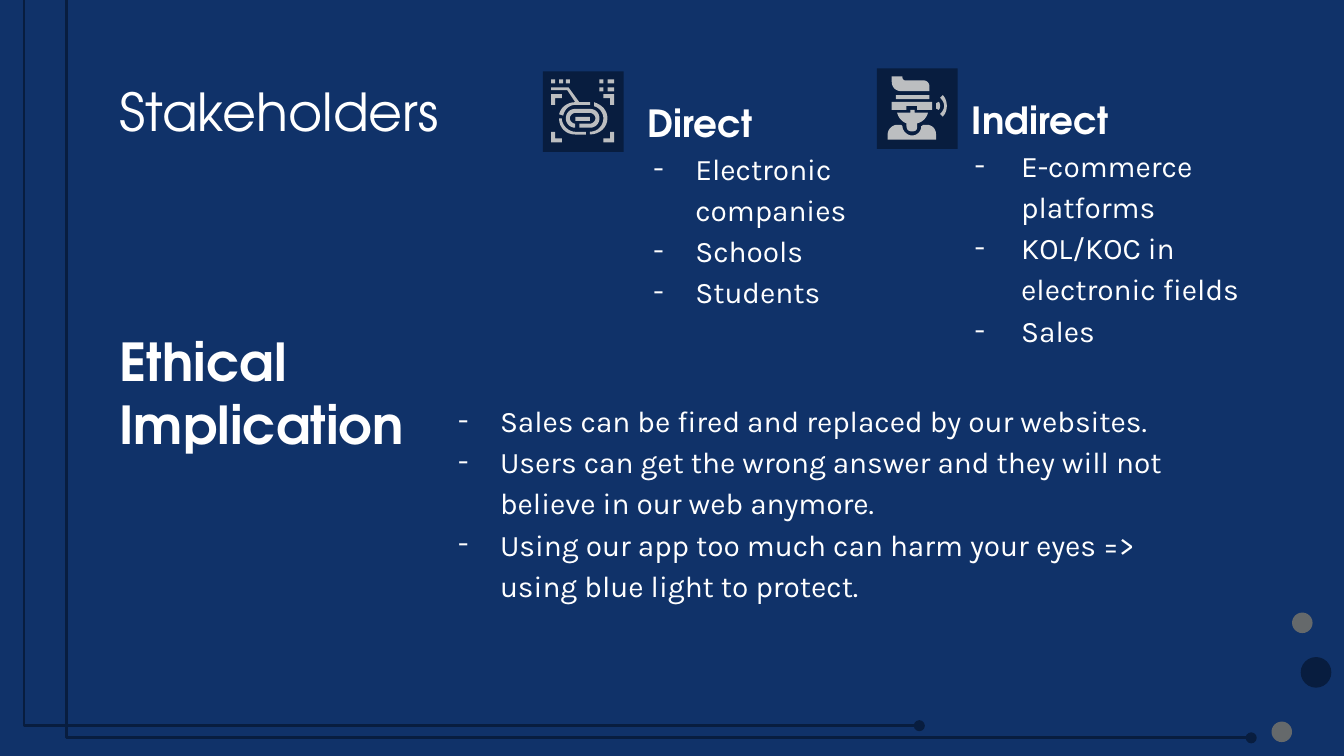
import lxml.etree
import pptx
import pptx.dml.color
import pptx.enum.shapes
import pptx.enum.text
import pptx.oxml
import pptx.oxml.ns
import pptx.util

Pt = pptx.util.Pt
RGBColor = pptx.dml.color.RGBColor
MSO_SHAPE = pptx.enum.shapes.MSO_SHAPE
MSO_ANCHOR = pptx.enum.text.MSO_ANCHOR
qn = pptx.oxml.ns.qn

BLUE = RGBColor(0x10, 0x32, 0x69)
NAVY = RGBColor(0x08, 0x1D, 0x3F)
GRAY = RGBColor(0x65, 0x69, 0x6B)
SILVER = RGBColor(0xBC, 0xBE, 0xC0)
WHITE = RGBColor(0xFF, 0xFF, 0xFF)
HEADING_FONT = "TeX Gyre Adventor"
BODY_FONT = "Karla"
ICON_UNIT = 0.72  # points; an icon tile is 60 units wide
CURVE_STEPS = 8


def add_text(shape, lines, font=BODY_FONT, size=16, bold=False, spacing=None,
             anchor=MSO_ANCHOR.TOP, indent=None, hanging=22.5):
    """Fill a shape with paragraphs; an indent turns them into dash bullets."""
    frame = shape.text_frame
    frame.word_wrap = True
    frame.auto_size = pptx.enum.text.MSO_AUTO_SIZE.NONE
    frame.vertical_anchor = anchor
    frame.margin_left = frame.margin_right = Pt(7.2)
    frame.margin_top = frame.margin_bottom = Pt(7.2)
    for index, line in enumerate(lines):
        paragraph = frame.add_paragraph() if index else frame.paragraphs[0]
        paragraph.alignment = pptx.enum.text.PP_ALIGN.LEFT
        if indent:
            properties = paragraph._p.get_or_add_pPr()
            properties.set("marL", str(Pt(indent)))
            properties.set("indent", str(-Pt(hanging)))
            color = lxml.etree.SubElement(properties, qn("a:buClr"))
            lxml.etree.SubElement(color, qn("a:srgbClr"), val=str(WHITE))
            lxml.etree.SubElement(properties, qn("a:buFont"), typeface=font)
            lxml.etree.SubElement(properties, qn("a:buChar"), char="-")
        if spacing:
            paragraph.line_spacing = spacing
        run = paragraph.add_run()
        run.text = line
        run.font.name = font
        run.font.size = Pt(size)
        run.font.bold = bold
        run.font.color.rgb = WHITE


def style_shape(shape, color):
    shape.shadow.inherit = False
    shape.fill.solid()
    shape.fill.fore_color.rgb = color
    shape.line.fill.background()


presentation = pptx.Presentation()
presentation.slide_width = Pt(720)
presentation.slide_height = Pt(405)
slide = presentation.slides.add_slide(presentation.slide_layouts[5])
slide.background.fill.solid()
slide.background.fill.fore_color.rgb = BLUE
shapes = slide.shapes

# Circuit lines: start, trunk position, end
for left, top, trunk, right, bottom in [
    (29.5, -17.3, 12.7, 492.5, 388.8),
    (41.8, -5, 35.6, 670.3, 395.3),
]:
    connector = shapes.add_connector(
        pptx.enum.shapes.MSO_CONNECTOR.ELBOW, Pt(left), Pt(top), Pt(right), Pt(bottom))
    connector.line.color.rgb = NAVY
    connector.line.width = Pt(1.5)
    lxml.etree.SubElement(connector.line._ln, qn("a:tailEnd"), type="oval")
    shape_properties = connector._element.spPr
    lxml.etree.SubElement(shape_properties, qn("a:effectLst"))
    geometry = shape_properties.find(qn("a:prstGeom"))
    adjustments = geometry.find(qn("a:avLst"))
    if adjustments is None:
        adjustments = lxml.etree.SubElement(geometry, qn("a:avLst"))
    ratio = round((trunk - left) / (right - left) * 100000)
    lxml.etree.SubElement(adjustments, qn("a:gd"), name="adj1", fmla=f"val {ratio}")

for left, top, diameter, color in [
    (696.8, 352, 16.4, NAVY), (681.2, 386.6, 11, GRAY), (692.2, 328.2, 11, GRAY),
]:
    dot = shapes.add_shape(MSO_SHAPE.OVAL, Pt(left), Pt(top), Pt(diameter), Pt(diameter))
    style_shape(dot, color)

# Icons in icon units from the tile corner.
# Bars are left, top, width, height; a point of six numbers is a Bezier curve.
scan_bars = [(left, 6, 3, 3) for left in (6, 12, 17)]
scan_bars += [(left, top, width, 3) for left, width in ((42, 3), (48, 5)) for top in (6, 12)]
scan_bars.append((24, 34, 11, 3))
scan_outlines = [
    [(x, y), (x + 8 * dx, y), (x + 8 * dx, y + 3 * dy), (x + 3 * dx, y + 3 * dy),
     (x + 3 * dx, y + 8 * dy), (x, y + 8 * dy)]
    for x, dx in ((6, 1), (53, -1)) for y, dy in ((17, 1), (53, -1))
]
scan_outlines += [
    [(6, 12), (6, 14), (18, 14), (24, 23), (18, 23, 13, 27, 12, 32), (15, 33),
     (16, 28, 20, 25, 24, 25), (35, 25), (35, 23), (27, 23), (19, 12)],
    [(38, 23), (38, 26), (42, 27, 45, 31, 45, 35), (45, 40, 41, 45, 35, 45), (35, 47),
     (42, 47, 48, 42, 48, 35), (48, 29, 44, 25, 38, 23)],
    [(12, 35), (12, 42, 17, 47, 24, 47), (32, 47), (32, 45), (24, 45),
     (19, 45, 14, 40, 14, 35)],
    [(24, 28), (20, 28, 17, 31, 17, 35), (17, 39, 20, 42, 24, 42), (24, 39),
     (22, 39, 20, 37, 20, 35), (20, 33, 22, 31, 24, 31), (35, 31),
     (37, 31, 39, 33, 39, 35), (39, 37, 37, 39, 35, 39), (27, 39), (27, 42), (35, 42),
     (39, 42, 42, 39, 42, 35), (42, 31, 39, 28, 35, 28)],
]
person_outlines = [
    [(11, 6), (11, 10), (11, 14, 14, 17, 18, 17), (39, 17), (39, 13),
     (39, 11, 37, 9, 35, 9), (21, 9), (20, 9, 19, 8, 19, 7), (19, 6)],
    [(11, 25), (11, 31), (22, 31), (22, 28), (30, 28), (30, 31), (41, 31), (41, 25)],
    [(49, 20), (47, 22), (49, 24, 50, 26, 50, 28), (50, 30, 49, 32, 47, 34), (49, 36),
     (51, 34, 52, 31, 52, 28), (52, 25, 51, 22, 49, 20)],
    [(46, 25), (44, 26), (44, 27, 44, 29, 44, 30), (46, 31),
     (47, 30, 47, 29, 47, 28), (47, 27, 47, 26, 46, 25)],
    [(15, 42), (12, 42, 8, 45, 8, 49), (8, 53), (44, 53), (44, 49),
     (44, 45, 41, 42, 37, 42), (35, 42), (34, 42, 34, 43, 33, 43),
     (33, 47, 30, 50, 26, 50), (23, 50, 19, 47, 19, 43), (18, 42)],
    [(25, 31), (25, 33), (15, 33), (16, 37, 19, 40, 22, 41), (22, 43),
     (22, 46, 24, 47, 26, 47), (29, 47, 30, 46, 30, 43), (30, 41),
     (34, 40, 37, 37, 38, 33), (28, 33), (28, 31)],
]
for tile_left, tile_top, bars, outlines in [
    (290.9, 38.2, scan_bars, scan_outlines),
    (469.8, 36.6, [(14, 20, 25, 3)], person_outlines),
]:
    tile_size = Pt(60 * ICON_UNIT)
    tile = shapes.add_shape(
        MSO_SHAPE.RECTANGLE, Pt(tile_left), Pt(tile_top), tile_size, tile_size)
    style_shape(tile, NAVY)
    for left, top, width, height in bars:
        bar = shapes.add_shape(
            MSO_SHAPE.RECTANGLE, Pt(tile_left + left * ICON_UNIT),
            Pt(tile_top + top * ICON_UNIT), Pt(width * ICON_UNIT), Pt(height * ICON_UNIT))
        style_shape(bar, SILVER)
    for outline in outlines:
        points = [outline[0]]
        for step in outline[1:]:
            if len(step) == 2:
                points.append(step)
                continue
            x0, y0 = points[-1]
            x1, y1, x2, y2, x3, y3 = step
            for number in range(1, CURVE_STEPS + 1):
                t = number / CURVE_STEPS
                a, b, c, d = (1 - t) ** 3, 3 * t * (1 - t) ** 2, 3 * t * t * (1 - t), t ** 3
                points.append((a * x0 + b * x1 + c * x2 + d * x3,
                               a * y0 + b * y1 + c * y2 + d * y3))
        # The builder rounds to whole units, so it works in hundredths
        fine = [(x * 100, y * 100) for x, y in points]
        builder = shapes.build_freeform(*fine[0], scale=Pt(ICON_UNIT) / 100)
        builder.add_line_segments(fine[1:], close=True)
        style_shape(builder.convert_to_shape(Pt(tile_left), Pt(tile_top)), SILVER)

title = shapes.title
title.left, title.top, title.width, title.height = Pt(56.7), Pt(35.3), Pt(607), Pt(45)
add_text(title, ["Stakeholders"], font=HEADING_FONT, size=28)

heading = dict(font=HEADING_FONT, size=20, bold=True, spacing=1.15, anchor=MSO_ANCHOR.BOTTOM)
bullets = dict(spacing=1.15, indent=22.5)
for left, top, width, height, lines, text_format in [
    (339.8, 57, 156, 28, ["Direct"], heading),
    (513.4, 55.4, 156, 28, ["Indirect"], heading),
    (342.9, 70.6, 192, 51, ["Electronic companies", "Schools", "Students"], bullets),
    (504, 69, 188, 123,
     ["E-commerce platforms", "KOL/KOC in electronic fields", "Sales"],
     dict(spacing=1.15, indent=36, hanging=25)),
    (56.7, 169.2, 245, 45, ["Ethical Implication"],
     dict(font=HEADING_FONT, size=28, bold=True)),
    (238.3, 205.7, 402, 47.5,
     ["Sales can be fired and replaced by our websites.",
      "Users can get the wrong answer and they will not believe in our web anymore.",
      "Using our app too much can harm your eyes => using blue light to protect."],
     bullets),
]:
    box = shapes.add_textbox(Pt(left), Pt(top), Pt(width), Pt(height))
    add_text(box, lines, **text_format)

presentation.save("out.pptx")
